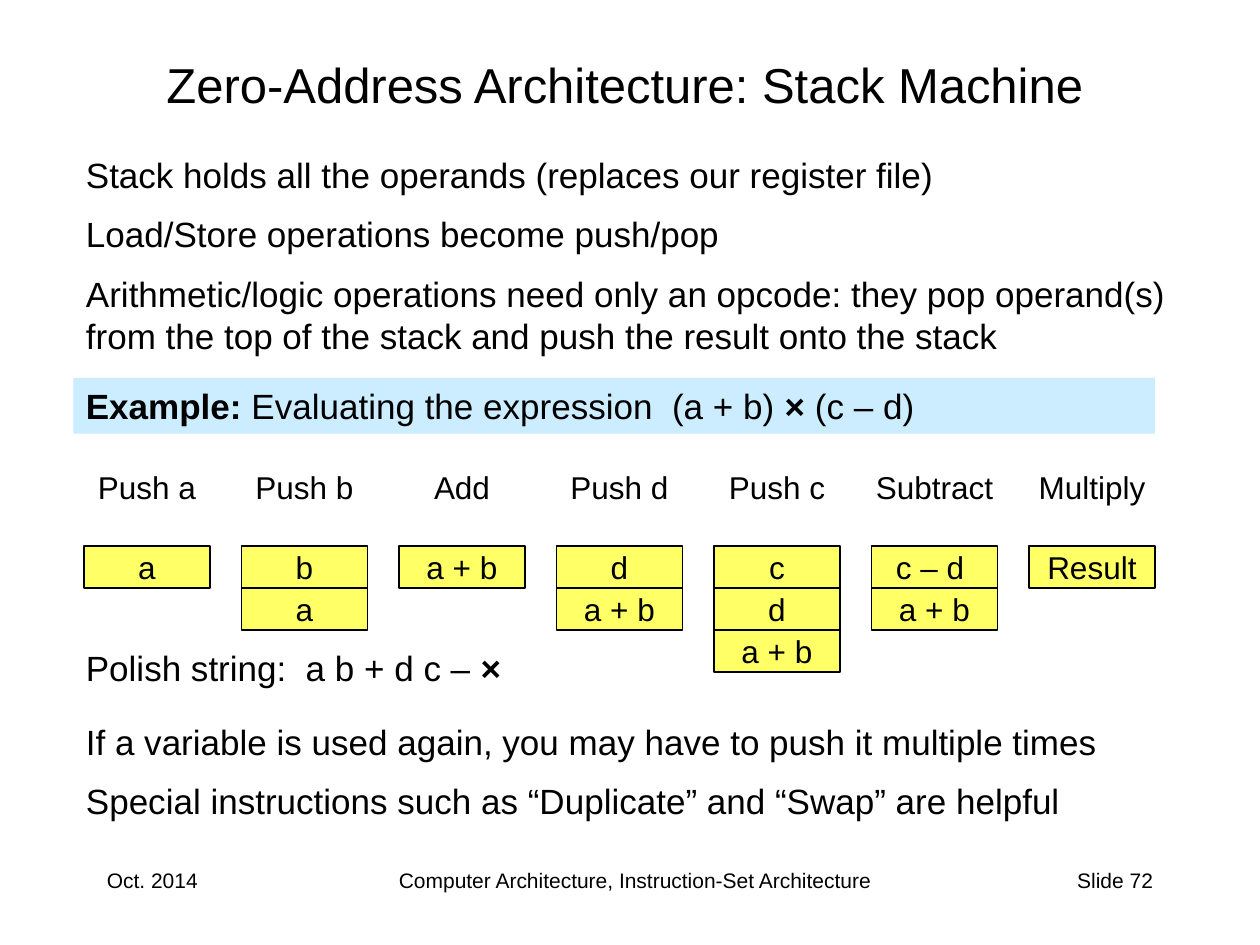
from pptx import Presentation
from pptx.dml.color import RGBColor
from pptx.enum.shapes import MSO_SHAPE
from pptx.enum.text import MSO_ANCHOR, PP_ALIGN
from pptx.util import Pt

LEFT, CENTER, RIGHT = PP_ALIGN.LEFT, PP_ALIGN.CENTER, PP_ALIGN.RIGHT
TOP, MIDDLE = MSO_ANCHOR.TOP, MSO_ANCHOR.MIDDLE
RECTANGLE = MSO_SHAPE.RECTANGLE

EMU_PER_PX = 7620
SLIDE_SIZE = (1200, 900)
FONT = "Arial"
PARAGRAPH_GAP = 10
COLORS = {"text": "000000", "band": "CCECFF", "cell": "FFFF66"}
BODY = {"size": 20}
STEP = {"size": 18, "align": CENTER}
CELL = {**STEP, "anchor": MIDDLE, "wrap": False}
FOOTER = {"size": 12}

TEXTS = [
    ((90, 820, 250, 60), ["Oct. 2014"], FOOTER),
    ((290, 820, 630, 60), ["Computer Architecture, Instruction-Set Architecture"], {**FOOTER, "align": CENTER}),
    ((860, 820, 250, 60), ["Slide 72"], {**FOOTER, "align": RIGHT}),
    ((50, 40, 1090, 80), ["Zero-Address Architecture: Stack Machine"],
     {"size": 28, "align": CENTER, "anchor": MIDDLE}),
    ((70, 140, 1060, 204), [
        "Stack holds all the operands (replaces our register file)",
        "Load/Store operations become push/pop",
        "Arithmetic/logic operations need only an opcode: they pop operand(s) "
        "from the top of the stack and push the result onto the stack",
    ], BODY),
    ((70, 680, 1040, 108), [
        "If a variable is used again, you may have to push it multiple times",
        "Special instructions such as “Duplicate” and “Swap” are helpful",
    ], BODY),
    ((70, 610, 430, 53), [[("Polish string:  a b + d c – ", False), ("×", True)]], BODY),
]
EXAMPLE_BOX = (70, 360, 1030, 53)
EXAMPLE = [[("Example:", True), (" Evaluating the expression  (a + b) ", False),
            ("×", True), (" (c – d)", False)]]
STEPS = [
    ("Push a", ["a"]),
    ("Push b", ["b", "a"]),
    ("Add", ["a + b"]),
    ("Push d", ["d", "a + b"]),
    ("Push c", ["c", "d", "a + b"]),
    ("Subtract", ["c – d ", "a + b"]),
    ("Multiply", ["Result"]),
]
STEP_LEFT, STEP_PITCH, STEP_TOP, STEP_WIDTH, STEP_HEIGHT = 70, 150, 440, 140, 48
CELL_INSET, CELL_TOP, CELL_WIDTH, CELL_HEIGHT = 10, 520, 120, 40


def emu(box):
    return [value * EMU_PER_PX for value in box]


def write(shape, paragraphs, style):
    frame = shape.text_frame
    frame.word_wrap = style.get("wrap", True)
    frame.vertical_anchor = style.get("anchor", TOP)
    for index, content in enumerate(paragraphs):
        paragraph = frame.add_paragraph() if index else frame.paragraphs[0]
        paragraph.alignment = style.get("align", LEFT)
        if index:
            paragraph.space_before = Pt(PARAGRAPH_GAP)
        runs = [(content, False)] if isinstance(content, str) else content
        for text, bold in runs:
            run = paragraph.add_run()
            run.text = text
            formats = {"name": FONT, "size": Pt(style["size"]), "bold": bold}
            for name, value in formats.items():
                setattr(run.font, name, value)
            run.font.color.rgb = RGBColor.from_string(COLORS["text"])


def add_text(slide, box, paragraphs, style):
    write(slide.shapes.add_textbox(*emu(box)), paragraphs, style)


def add_rectangle(slide, box, fill, paragraphs, style, outlined=False):
    shape = slide.shapes.add_shape(RECTANGLE, *emu(box))
    shape.shadow.inherit = False
    shape.fill.solid()
    shape.fill.fore_color.rgb = RGBColor.from_string(COLORS[fill])
    if outlined:
        shape.line.color.rgb = RGBColor.from_string(COLORS["text"])
        shape.line.width = Pt(0.75)
    else:
        shape.line.fill.background()
    write(shape, paragraphs, style)


def main():
    presentation = Presentation()
    presentation.slide_width, presentation.slide_height = emu(SLIDE_SIZE)
    slide = presentation.slides.add_slide(presentation.slide_layouts[6])
    for box, paragraphs, style in TEXTS:
        add_text(slide, box, paragraphs, style)
    add_rectangle(slide, EXAMPLE_BOX, "band", EXAMPLE, BODY)
    for column, (operation, stack) in enumerate(STEPS):
        left = STEP_LEFT + column * STEP_PITCH
        add_text(slide, (left, STEP_TOP, STEP_WIDTH, STEP_HEIGHT), [operation], STEP)
        for row, operand in enumerate(stack):
            box = (left + CELL_INSET, CELL_TOP + row * CELL_HEIGHT, CELL_WIDTH, CELL_HEIGHT)
            add_rectangle(slide, box, "cell", [operand], CELL, outlined=True)
    presentation.save("out.pptx")


if __name__ == "__main__":
    main()
